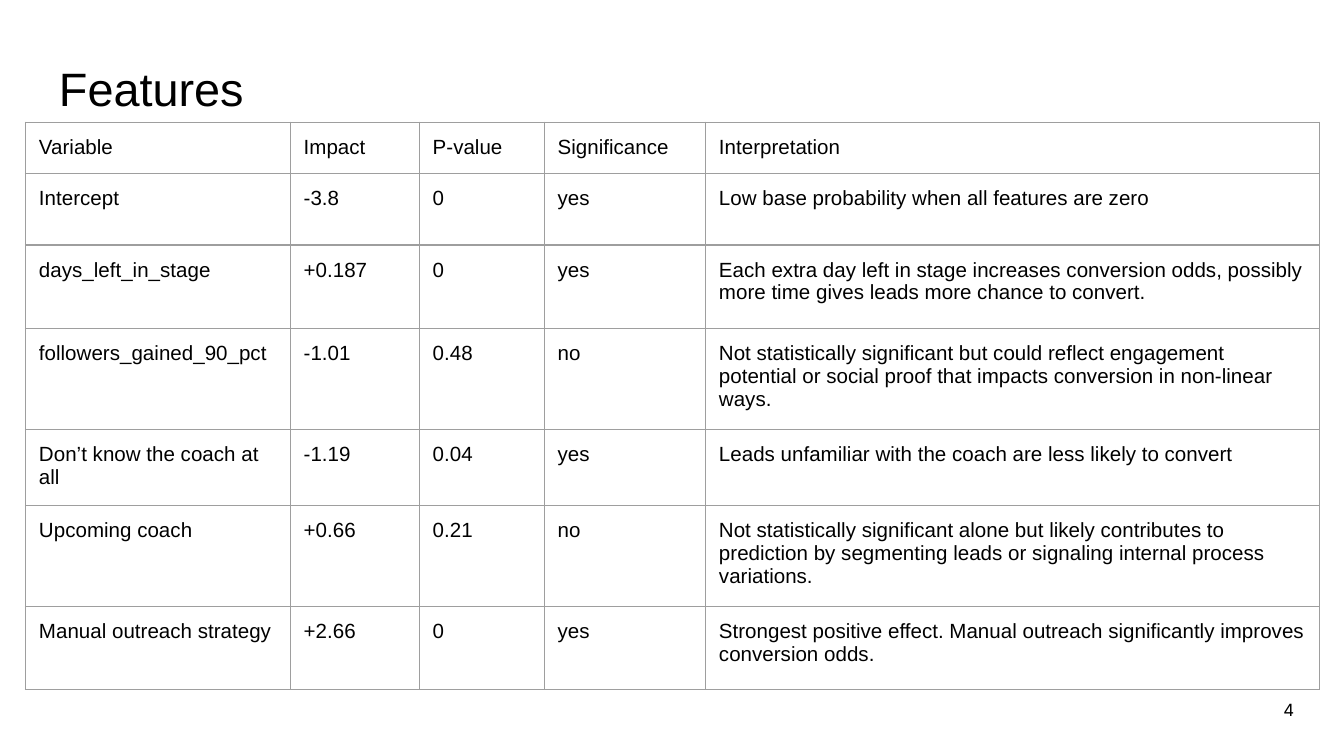
"""Build the Features slide: a title, a table of model features and a page number."""
from dataclasses import dataclass

from lxml import etree
from pptx import Presentation
from pptx import util as u
from pptx.dml.color import RGBColor
from pptx.enum import text
from pptx.oxml.ns import qn

BLACK = RGBColor(0x00, 0x00, 0x00)
GRAY = RGBColor(0x9E, 0x9E, 0x9E)
PADDING = u.Inches(0.1)
BORDER_WIDTH = u.Pt(0.75)
SLIDE_WIDTH = u.Inches(10)
SLIDE_HEIGHT = SLIDE_WIDTH * 9 // 16
TABLE_SIDE = u.Inches(3.28)
COLUMN_WIDTHS = (1.97, 0.96, 0.93, 1.2, 4.57)


@dataclass(frozen=True)
class Label:
    wording: str
    left: float
    top: float
    width: float
    height: float
    font: dict
    frame: dict
    para: dict
    padding: int = 0


@dataclass(frozen=True)
class FeatureRow:
    height: float
    variable: str
    impact: str
    p_value: str
    significance: str
    interpretation: str

    def wording(self) -> tuple:
        return (self.variable, self.impact, self.p_value, self.significance, self.interpretation)


TABLE_FONT = {"name": "Arial", "size": u.Pt(11)}
TITLE = Label(
    "Features", 0.34, 0.33, 6.85, 0.73,
    font={"name": "Arial", "size": u.Pt(25.1)},
    frame={"vertical_anchor": text.MSO_ANCHOR.MIDDLE},
    para={"line_spacing": 0.8},
    padding=PADDING,
)
PAGE_NUMBER = Label(
    "4", 9.43, 5, 0.2, 0.36,
    font={"name": "Inter", "size": u.Pt(9)},
    frame={"vertical_anchor": text.MSO_ANCHOR.BOTTOM},
    para={"alignment": text.PP_ALIGN.RIGHT},
)
ROWS = (
    FeatureRow(0.35, "Variable", "Impact", "P-value", "Significance", "Interpretation"),
    FeatureRow(0.53, "Intercept", "-3.8", "0", "yes",
               "Low base probability when all features are zero"),
    FeatureRow(0.62, "days_left_in_stage", "+0.187", "0", "yes",
               "Each extra day left in stage increases conversion odds, "
               "possibly more time gives leads more chance to convert."),
    FeatureRow(0.53, "followers_gained_90_pct", "-1.01", "0.48", "no",
               "Not statistically significant but could reflect engagement potential "
               "or social proof that impacts conversion in non-linear ways."),
    FeatureRow(0.53, "Don’t know the coach at all", "-1.19", "0.04", "yes",
               "Leads unfamiliar with the coach are less likely to convert"),
    FeatureRow(0.35, "Upcoming coach", "+0.66", "0.21", "no",
               "Not statistically significant alone but likely contributes to prediction "
               "by segmenting leads or signaling internal process variations."),
    FeatureRow(0.62, "Manual outreach strategy", "+2.66", "0", "yes",
               "Strongest positive effect. Manual outreach significantly improves conversion odds."),
)


def apply(target, values: dict) -> None:
    for name, value in values.items():
        setattr(target, name, value)


def margins(padding: int) -> dict:
    return {f"margin_{side}": padding for side in ("left", "top", "right", "bottom")}


def write(para, wording: str, font: dict) -> None:
    span = para.add_run()
    span.text = wording
    apply(span.font, font)
    span.font.color.rgb = BLACK


def draw_label(page, label: Label) -> None:
    sides = (label.left, label.top, label.width, label.height)
    box = page.shapes.add_textbox(*map(u.Inches, sides))
    frame = box.text_frame
    apply(frame, {"word_wrap": True, **margins(label.padding), **label.frame})
    para = frame.paragraphs[0]
    apply(para, label.para)
    write(para, label.wording, label.font)


def draw_borders(cell) -> None:
    properties = cell._tc.get_or_add_tcPr()
    for index, side in enumerate(("lnL", "lnR", "lnT", "lnB")):
        line = etree.Element(qn(f"a:{side}"), w=str(BORDER_WIDTH))
        fill = etree.SubElement(line, qn("a:solidFill"))
        etree.SubElement(fill, qn("a:srgbClr"), val=str(GRAY))
        properties.insert(index, line)


def draw_cell(cell, wording: str) -> None:
    apply(cell, margins(PADDING))
    cell.fill.background()
    draw_borders(cell)
    write(cell.text_frame.paragraphs[0], wording, TABLE_FONT)


def draw_table(page, left: float, top: float, rows: tuple) -> None:
    holder = page.shapes.add_table(
        len(rows), len(COLUMN_WIDTHS), u.Inches(left), u.Inches(top), TABLE_SIDE, TABLE_SIDE
    )
    table = holder.table
    apply(table, {"first_row": False, "horz_banding": False})
    for column, column_width in zip(table.columns, COLUMN_WIDTHS):
        column.width = u.Inches(column_width)
    for table_row, row in zip(table.rows, rows):
        table_row.height = u.Inches(row.height)
        for cell, wording in zip(table_row.cells, row.wording()):
            draw_cell(cell, wording)
    apply(holder, {"width": TABLE_SIDE, "height": TABLE_SIDE})


def main() -> None:
    deck = Presentation()
    apply(deck, {"slide_width": SLIDE_WIDTH, "slide_height": SLIDE_HEIGHT})
    page = deck.slides.add_slide(deck.slide_layouts[6])
    draw_label(page, TITLE)
    draw_table(page, 0.19, 0.91, ROWS)
    draw_label(page, PAGE_NUMBER)
    deck.save("out.pptx")


if __name__ == "__main__":
    main()
